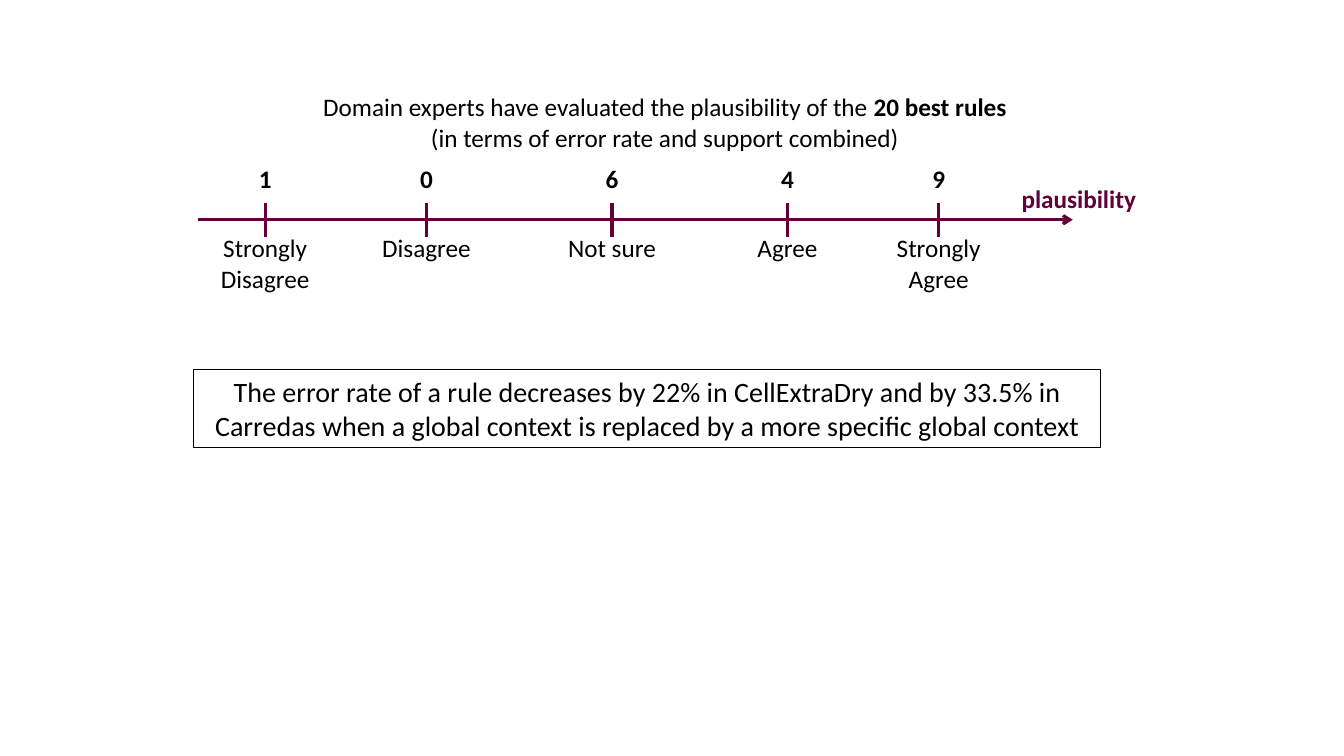
"""Build a slide showing how experts rated the plausibility of the best rules."""
from dataclasses import dataclass

from lxml import etree
from pptx import Presentation
from pptx.dml.color import RGBColor
from pptx.enum.shapes import MSO_CONNECTOR, MSO_SHAPE
from pptx.enum.text import MSO_ANCHOR, MSO_AUTO_SIZE, PP_ALIGN
from pptx.oxml.ns import qn
from pptx.util import Inches, Pt

STRAIGHT = MSO_CONNECTOR.STRAIGHT
RECTANGLE = MSO_SHAPE.RECTANGLE
TOP = MSO_ANCHOR.TOP
NO_FIT = MSO_AUTO_SIZE.NONE
CENTER = PP_ALIGN.CENTER

HEADING = [
    [("Domain experts have evaluated the plausibility of the ", False),
     ("20 best rules", True)],
    [("(in terms of error rate and support combined)", False)],
]
RATINGS = [
    (2.63, "1", ["Strongly Disagree"]),
    (4.23, "0", ["Disagree"]),
    (6.07, "6", ["Not sure"]),
    (7.81, "4", ["Agree"]),
    (9.31, "9", ["Strongly", "Agree"]),
]
AXIS_NAME = "plausibility"
FINDING = ("The error rate of a rule decreases by 22% in CellExtraDry and by 33.5% in "
           "Carredas when a global context is replaced by a more specific global context")

AXIS_LEFT, AXIS_RIGHT, AXIS_Y = 1.96, 10.64, 2.18
TICK = 0.34
LABEL_W, LINE_H = 1.85, 0.4
COUNT_Y, NAME_Y, LABEL_Y = 1.57, 1.77, 2.26


@dataclass(frozen=True)
class Theme:
    font: str = "Calibri"
    body: int = 18
    finding: int = 20
    axis_width: float = 2.25
    frame_width: float = 0.75
    ink: RGBColor = RGBColor(0, 0, 0)
    accent: RGBColor = RGBColor(0x62, 0x00, 0x3B)


THEME = Theme()


def place(sp, left, top, width, height):
    sp.left, sp.top, sp.width, sp.height = map(Inches, (left, top, width, height))


def write(sp, paragraphs, size=THEME.body, color=THEME.ink):
    tf = sp.text_frame
    tf.word_wrap = True
    tf.auto_size = NO_FIT
    tf.vertical_anchor = TOP
    for i, runs in enumerate(paragraphs):
        p = tf.add_paragraph() if i else tf.paragraphs[0]
        p.alignment = CENTER
        for text, bold in runs:
            r = p.add_run()
            r.text = text
            r.font.name = THEME.font
            r.font.size = Pt(size)
            r.font.bold = bold
            r.font.color.rgb = color


def label(slide, center, top, lines, bold=False, color=THEME.ink):
    sp = slide.shapes.add_textbox(0, 0, 0, 0)
    place(sp, center - LABEL_W / 2, top, LABEL_W, LINE_H)
    write(sp, [[(line, bold)] for line in lines], color=color)


def line(slide, x1, y1, x2, y2, arrow=False):
    sp = slide.shapes.add_connector(STRAIGHT, *map(Inches, (x1, y1, x2, y2)))
    sp.line.color.rgb = THEME.accent
    sp.line.width = Pt(THEME.axis_width)
    if arrow:
        etree.SubElement(sp.line._get_or_add_ln(), qn("a:tailEnd"), type="arrow")
    etree.SubElement(sp._element.spPr, qn("a:effectLst"))


def add_scale(slide):
    line(slide, AXIS_LEFT, AXIS_Y, AXIS_RIGHT, AXIS_Y, arrow=True)
    for x, count, answer in RATINGS:
        line(slide, x, AXIS_Y - TICK / 2, x, AXIS_Y + TICK / 2)
        label(slide, x, COUNT_Y, [count], bold=True)
        label(slide, x, LABEL_Y, answer)
    label(slide, AXIS_RIGHT + 0.06, NAME_Y, [AXIS_NAME], bold=True, color=THEME.accent)


def add_finding(slide):
    sp = slide.shapes.add_shape(RECTANGLE, 0, 0, 0, 0)
    place(sp, 1.92, 3.67, 9, 0.77)
    sp.shadow.inherit = False
    sp.fill.background()
    sp.line.color.rgb = THEME.ink
    sp.line.width = Pt(THEME.frame_width)
    write(sp, [[(FINDING, False)]], size=THEME.finding)


def main():
    prs = Presentation()
    prs.slide_width, prs.slide_height = Inches(13.33), Inches(7.5)
    slide = prs.slides.add_slide(prs.slide_layouts[5])
    place(slide.shapes.title, 2.06, 0.86, 9.07, 0.71)
    write(slide.shapes.title, HEADING)
    add_scale(slide)
    add_finding(slide)
    prs.save("out.pptx")


if __name__ == "__main__":
    main()
